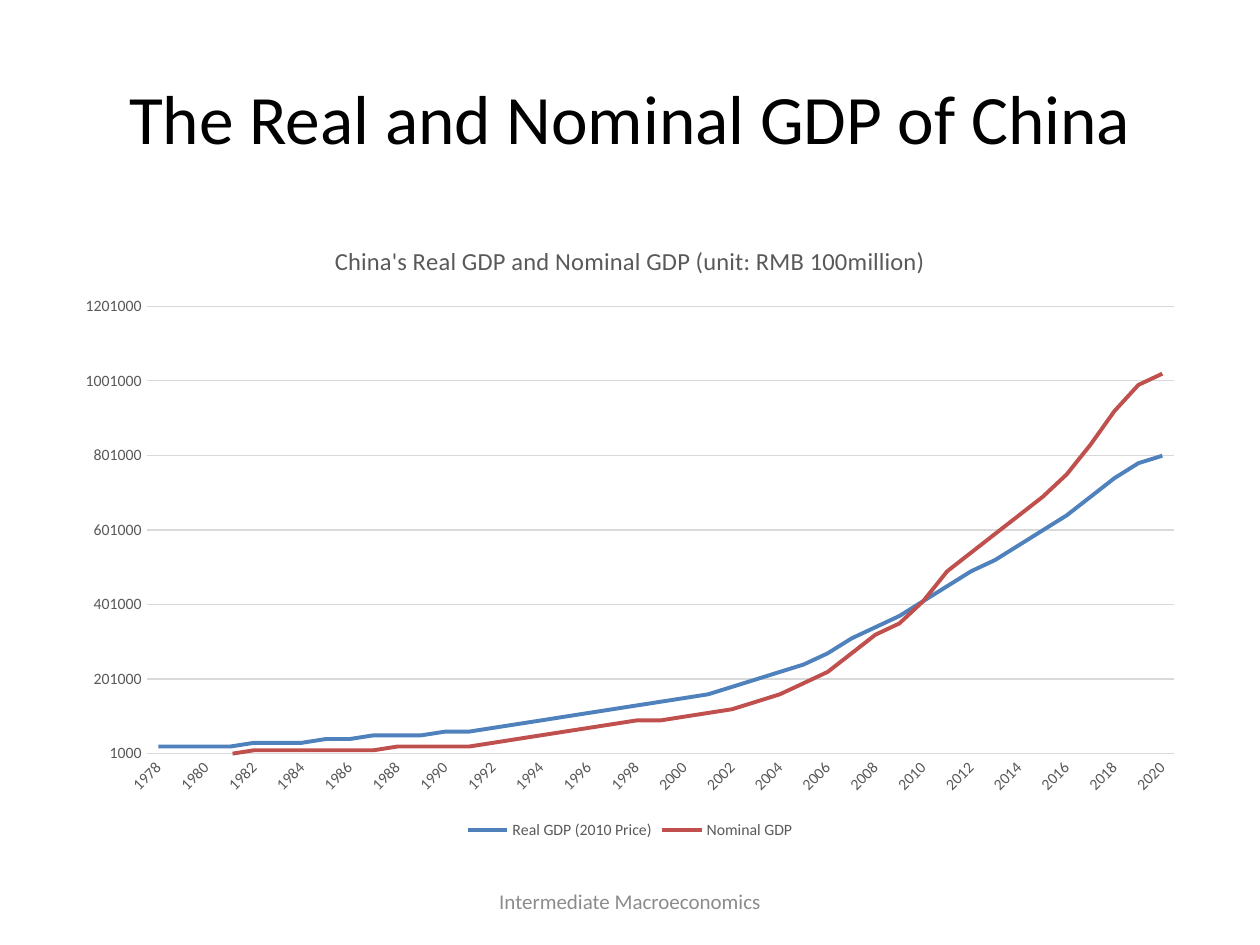
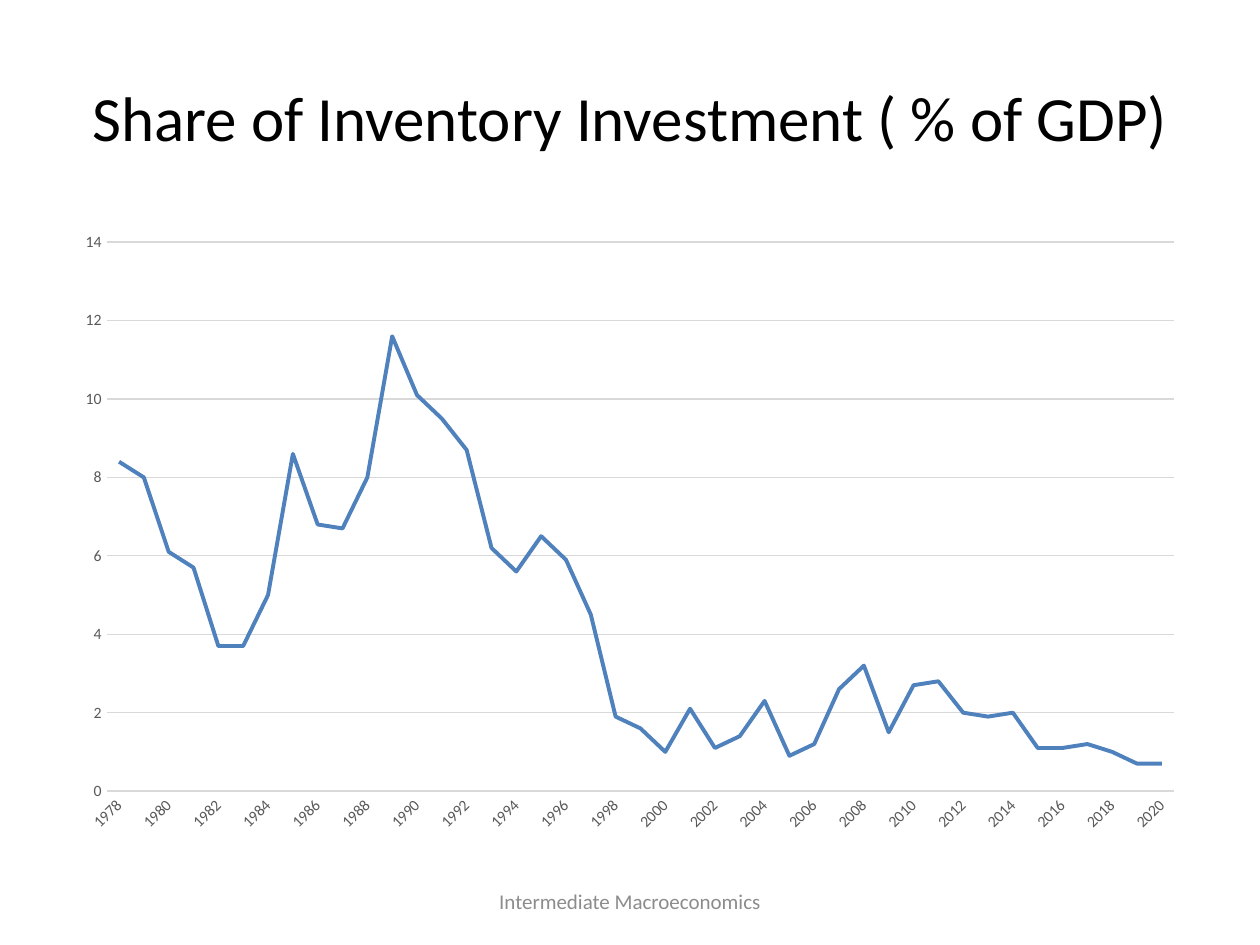
"""Build two slides with line charts on China's GDP and inventory investment."""
from lxml import etree
from pptx import Presentation
from pptx import util as u
from pptx.chart import data as chart_data
from pptx.dml.color import RGBColor
from pptx.enum import chart as ch
from pptx.enum import text
from pptx.oxml.ns import qn

BLACK = RGBColor(0x00, 0x00, 0x00)
FOOTER_GREY = RGBColor(0x8C, 0x8C, 0x8C)
LABEL_GREY = RGBColor(0x59, 0x59, 0x59)
GRID_GREY = RGBColor(0xD9, 0xD9, 0xD9)
BLUE = RGBColor(0x4F, 0x81, 0xBD)
RED = RGBColor(0xC0, 0x50, 0x4D)

YEARS = [str(year) for year in range(1978, 2021)]

# GDP in units of 10000 (RMB 100 million)
REAL_GDP = [2, 2, 2, 2, 3, 3, 3, 4, 4, 5, 5, 5, 6, 6, 7, 8, 9, 10, 11, 12, 13,
            14, 15, 16, 18, 20, 22, 24, 27, 31, 34, 37, 41, 45, 49, 52, 56, 60,
            64, 69, 74, 78, 80]
NOMINAL_GDP = [0, 0, 0, 0, 1, 1, 1, 1, 1, 1, 2, 2, 2, 2, 3, 4, 5, 6, 7, 8, 9,
               9, 10, 11, 12, 14, 16, 19, 22, 27, 32, 35, 41, 49, 54, 59, 64,
               69, 75, 83, 92, 99, 102]
INVENTORY_SHARE = [8.4, 8, 6.1, 5.7, 3.7, 3.7, 5, 8.6, 6.8, 6.7, 8, 11.6, 10.1,
                   9.5, 8.7, 6.2, 5.6, 6.5, 5.9, 4.5, 1.9, 1.6, 1, 2.1, 1.1,
                   1.4, 2.3, 0.9, 1.2, 2.6, 3.2, 1.5, 2.7, 2.8, 2, 1.9, 2, 1.1,
                   1.1, 1.2, 1, 0.7, 0.7]


class Deck:
    """Holds the shared style and the current slide."""

    font_name = "Calibri"
    footer = "Intermediate Macroeconomics"
    line_colors = (BLUE, RED)

    def __init__(self):
        """Start an empty 10 by 7.5 inch presentation."""
        self.prs = Presentation()
        self.prs.slide_width, self.prs.slide_height = u.Pt(720), u.Pt(540)
        self.slide = None

    def style(self, font, size, color):
        """Apply the deck font with a size and colour."""
        font.name, font.size, font.bold = self.font_name, u.Pt(size), False
        font.color.rgb = color

    def add_slide(self, heading, heading_size):
        """Add a slide with its heading and the footer."""
        self.slide = self.prs.slides.add_slide(self.prs.slide_layouts[6])
        self.add_label(heading, (36, 21.6, 648, 90), heading_size, BLACK)
        self.add_label(self.footer, (246, 500.5, 228, 28.75), 12, FOOTER_GREY)

    def add_label(self, wording, box, size, color):
        """Add centred text in a box given in points."""
        frame = self.slide.shapes.add_textbox(*map(u.Pt, box)).text_frame
        frame.word_wrap = True
        frame.vertical_anchor = text.MSO_ANCHOR.MIDDLE
        frame.text = wording
        paragraph = frame.paragraphs[0]
        paragraph.alignment = text.PP_ALIGN.CENTER
        self.style(paragraph.runs[0].font, size, color)

    def add_line_chart(self, series, scale, caption=None):
        """Add a line chart; scale is the value axis minimum, maximum, step."""
        content = chart_data.CategoryChartData()
        content.categories = YEARS
        for name, values in series.items():
            content.add_series(name, values)
        chart = self.slide.shapes.add_chart(
            ch.XL_CHART_TYPE.LINE, *map(u.Pt, (36, 126, 648, 356.4)),
            content).chart
        self.style(chart.font, 10, BLACK)

        chart.has_title = caption is not None
        if caption:
            frame = chart.chart_title.text_frame
            frame.text = caption
            self.style(frame.paragraphs[0].runs[0].font, 14, LABEL_GREY)

        chart.has_legend = len(series) > 1
        if chart.has_legend:
            chart.legend.position = ch.XL_LEGEND_POSITION.BOTTOM
            chart.legend.include_in_layout = False
            self.style(chart.legend.font, 9, LABEL_GREY)

        for plotted, color in zip(chart.plots[0].series, self.line_colors):
            plotted.smooth = False
            plotted.marker.style = ch.XL_MARKER_STYLE.NONE
            plotted.format.line.color.rgb = color
            plotted.format.line.width = u.Pt(2.25)
        self.format_axes(chart, scale)

    def format_axes(self, chart, scale):
        """Style both axes, slant the years and label every second one."""
        years, amounts = chart.category_axis, chart.value_axis
        for axis in (years, amounts):
            axis.major_tick_mark = axis.minor_tick_mark = ch.XL_TICK_MARK.NONE
            self.style(axis.tick_labels.font, 9, LABEL_GREY)
        amounts.minimum_scale, amounts.maximum_scale, amounts.major_unit = scale
        amounts.tick_labels.number_format = "General"
        amounts.tick_labels.number_format_is_linked = False
        amounts.format.line.fill.background()
        amounts.has_major_gridlines = True
        for line in (years.format.line, amounts.major_gridlines.format.line):
            line.color.rgb = GRID_GREY
            line.width = u.Pt(0.75)

        element = chart._chartSpace.find(".//" + qn("c:catAx"))
        element.find(qn("c:txPr")).find(qn("a:bodyPr")).set("rot", "-2700000")
        skip = etree.Element(qn("c:tickLblSkip"), val="2")
        element.find(qn("c:noMultiLvlLbl")).addprevious(skip)


def main():
    """Build both slides and save them."""
    deck = Deck()

    deck.add_slide("The Real and Nominal GDP of China", 39.6)
    deck.add_line_chart(
        {"Real GDP (2010 Price)": [value * 10000 for value in REAL_GDP],
         "Nominal GDP": [value * 10000 for value in NOMINAL_GDP]},
        scale=(1000, 1201000, 200000),
        caption="China's Real GDP and Nominal GDP (unit: RMB 100million)")

    deck.add_slide("Share of Inventory Investment ( % of GDP)", 36)
    deck.add_line_chart({"Series 1": INVENTORY_SHARE}, scale=(0, 14, 2))

    deck.prs.save("out.pptx")


main()
